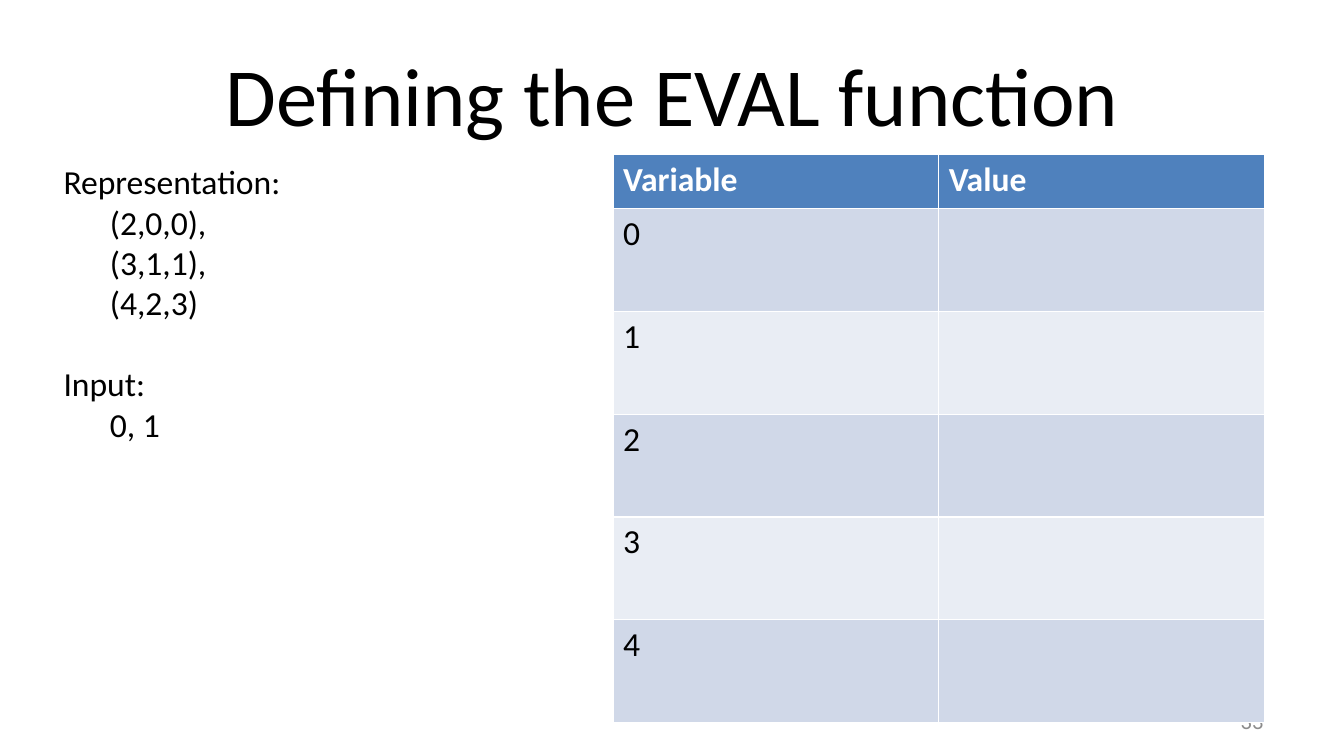
import pptx
import pptx.util
import pptx.dml.color
import pptx.enum.text
import pptx.oxml.xmlchemy
from lxml import etree

Inches, Pt = pptx.util.Inches, pptx.util.Pt
ALIGN = pptx.enum.text.PP_ALIGN
ANCHOR = pptx.enum.text.MSO_ANCHOR
COLORS = {"text": "000000", "number": "8C8C8C", "header": "4F81BD",
          "header_text": "FFFFFF", "odd_row": "D0D8E8", "even_row": "E9EDF4"}


def style(paragraph, size, color, bold=False):
    """Set the font of every run in the paragraph."""
    for run in paragraph.runs:
        run.font.name = "Calibri"
        run.font.size = Pt(size)
        run.font.bold = bold
        run.font.color.rgb = pptx.dml.color.RGBColor.from_string(COLORS[color])


def place(shape, left, top, width, height):
    """Position a shape, in inches."""
    shape.left, shape.top = Inches(left), Inches(top)
    shape.width, shape.height = Inches(width), Inches(height)


deck = pptx.Presentation()
deck.slide_width, deck.slide_height = Inches(13.33), Inches(7.5)
slide = deck.slides.add_slide(deck.slide_layouts[1])

# Title
title = slide.shapes.title
place(title, 0.67, 0.3, 12, 1.25)
title.text_frame.text = "Defining the EVAL function"
title.text_frame.auto_size = pptx.enum.text.MSO_AUTO_SIZE.NONE
title.text_frame.vertical_anchor = ANCHOR.MIDDLE
title.text_frame.paragraphs[0].alignment = ALIGN.CENTER
style(title.text_frame.paragraphs[0], 59, "text")

# Representation and input, with indented values
sections = [("Representation:", ["(2,0,0),", "(3,1,1),", "(4,2,3)"]),
            ("Input:", ["0, 1"])]
lines = []
for heading, values in sections:
    gap = 29 if lines else 0
    lines.append((heading, 0, gap))
    lines += [(value, 0.46, 0) for value in values]

example = slide.placeholders[1]
place(example, 0.53, 1.55, 5.5, 2.93)
example.text_frame.text = "\n".join(text for text, _, _ in lines)
example.text_frame.auto_size = pptx.enum.text.MSO_AUTO_SIZE.NONE
example.text_frame.vertical_anchor = ANCHOR.TOP
for paragraph, (_, indent, gap) in zip(example.text_frame.paragraphs, lines):
    paragraph.space_before = Pt(gap)
    properties = paragraph._p.get_or_add_pPr()
    properties.set("marL", str(Inches(indent)))
    properties.set("indent", "0")
    etree.SubElement(properties, pptx.oxml.ns.qn("a:buNone"))
    style(paragraph, 24, "text")

# Slide number, partly covered by the table
number = slide.shapes.add_textbox(Inches(9.55), Inches(6.95), Inches(3.11), Inches(0.4))
number.text_frame.word_wrap = True
number.text_frame.vertical_anchor = ANCHOR.MIDDLE
number.text_frame.margin_left = number.text_frame.margin_right = Inches(0.13)
number.text_frame.text = "33"
number.text_frame.paragraphs[0].alignment = ALIGN.RIGHT
style(number.text_frame.paragraphs[0], 16, "number")

# Variable table with values still to be filled in
rows = [("Variable", "Value")] + [(str(variable), "") for variable in range(5)]
table = slide.shapes.add_table(len(rows), 2, Inches(6.08), Inches(1.53),
                               Inches(6.46), Inches(5.63)).table
for r, row in enumerate(rows):
    header = r == 0
    table.rows[r].height = Inches(0.54 if header else 1.02)
    fill = "header" if header else "odd_row" if r % 2 else "even_row"
    for c, text in enumerate(row):
        cell = table.cell(r, c)
        cell.fill.solid()
        cell.fill.fore_color.rgb = pptx.dml.color.RGBColor.from_string(COLORS[fill])
        cell.text_frame.text = text
        style(cell.text_frame.paragraphs[0], 24,
              "header_text" if header else "text", header)

deck.save("out.pptx")
